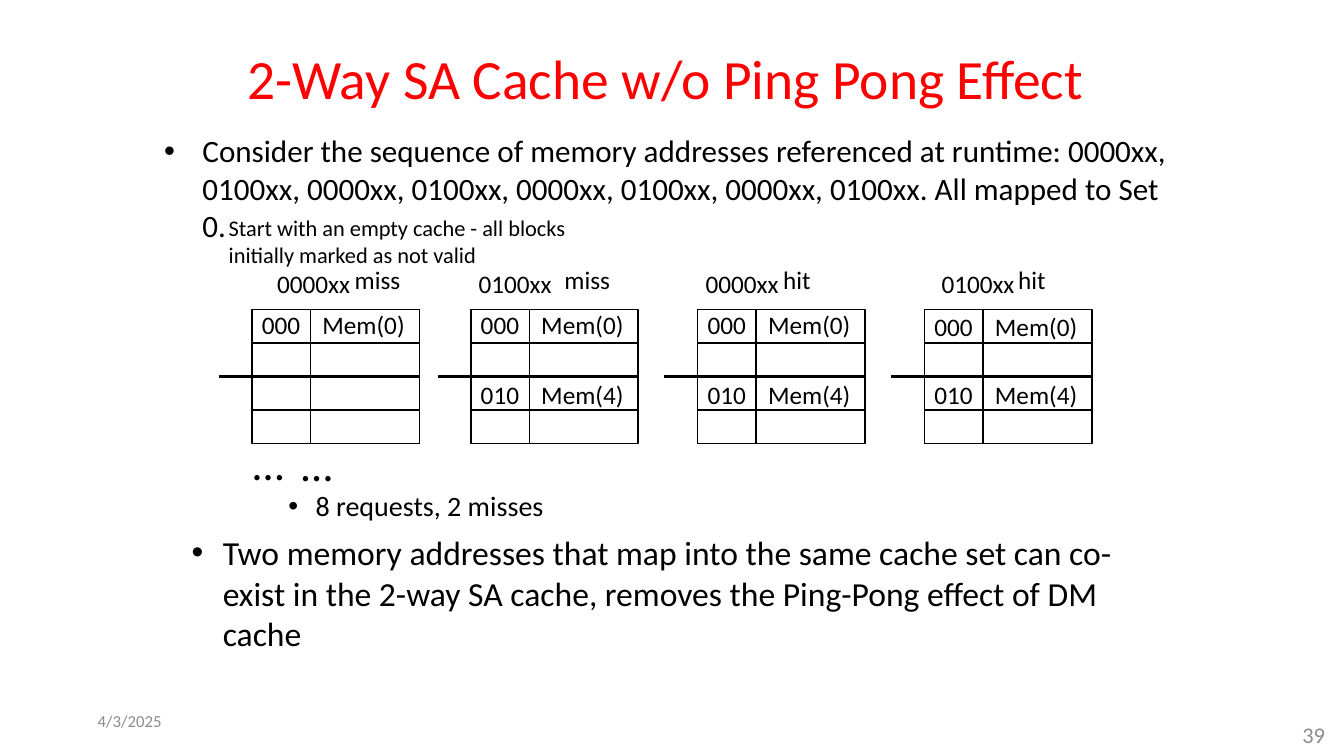
"""Build the slide on a two-way set-associative cache without the ping-pong effect."""
from dataclasses import dataclass

from lxml import etree
from pptx import Presentation
from pptx import util as u
from pptx.dml.color import RGBColor
from pptx.enum import shapes, text
from pptx.oxml import ns


@dataclass(frozen=True)
class Theme:
    font: str = "Calibri"
    black: RGBColor = RGBColor(0, 0, 0)
    red: RGBColor = RGBColor(255, 0, 0)
    grey: RGBColor = RGBColor(0x8C, 0x8C, 0x8C)
    title: float = 39.6
    body: float = 22.2
    conclusion: float = 24
    dots: float = 32
    count: float = 20
    label: float = 18
    note: float = 16
    date: float = 12
    thin: float = 1
    thick: float = 2.25


theme = Theme()
deck = Presentation()
deck.slide_width, deck.slide_height = u.Inches(13.33), u.Inches(7.5)
page = deck.slides.add_slide(deck.slide_layouts[6])


def add_text(words, left, top, width, height, size, color=theme.black, wrap=True,
             margins=(0.1, 0.05), bullet=None, tab=None, **para_format):
    """Add a text box; bullet is (margin, hang) and tab a stop, all in inches."""
    box = page.shapes.add_textbox(*map(u.Inches, (left, top, width, height)))
    frame = box.text_frame
    side, edge = map(u.Inches, margins)
    frame_format = {"word_wrap": wrap, "margin_left": side, "margin_right": side,
                    "margin_top": edge, "margin_bottom": edge,
                    "vertical_anchor": para_format.pop("anchor", text.MSO_ANCHOR.TOP)}
    for name, value in frame_format.items():
        setattr(frame, name, value)
    para = frame.paragraphs[0]
    props = para._p.get_or_add_pPr()
    if bullet:
        margin, hang = bullet
        props.set("marL", str(u.Inches(margin)))
        props.set("indent", str(-u.Inches(hang)))
        etree.SubElement(props, ns.qn("a:buFont"), typeface="Arial")
        etree.SubElement(props, ns.qn("a:buChar"), char="•")
    if tab:
        stops = etree.SubElement(props, ns.qn("a:tabLst"))
        etree.SubElement(stops, ns.qn("a:tab"), pos=str(u.Inches(tab)), algn="l")
    for name, value in para_format.items():
        setattr(para, name, value)
    span = para.add_run()
    span.text = words
    span.font.name, span.font.size = theme.font, u.Pt(size)
    span.font.color.rgb = color


def add_rule(left, right, y, weight):
    """Add a black horizontal line."""
    rule = page.shapes.add_connector(shapes.MSO_CONNECTOR.STRAIGHT,
                                     *map(u.Inches, (left, y, right, y)))
    rule.line.color.rgb, rule.line.width = theme.black, u.Pt(weight)
    etree.SubElement(rule._element.spPr, ns.qn("a:effectLst"))


add_text("2-Way SA Cache w/o Ping Pong Effect", 2.1, 0.19, 9, 1.25, theme.title, theme.red,
         anchor=text.MSO_ANCHOR.MIDDLE, alignment=text.PP_ALIGN.CENTER, line_spacing=0.85)

cache_top, row_height, row_count = 3.07, 1.33 / 4, 4
tag_width, data_width, overhang = 0.58, 1.08, 0.33
first_block, second_block = "000\tMem(0)", "010\tMem(4)"

caches = [
    (2.5, "0000xx", 2.65, "miss", 3.42, [(first_block, 3.02)]),
    (4.67, "0100xx", 4.65, "miss", 5.5, [(first_block, 3.02), (second_block, 3.71)]),
    (6.92, "0000xx", 6.9, "hit", 7.67, [(first_block, 3.02), (second_block, 3.71)]),
    (9.17, "0100xx", 9.24, "hit", 10, [(first_block, 3.04), (second_block, 3.71)]),
]
for left, address, address_left, result, result_left, blocks in caches:
    middle = left + tag_width
    right = middle + data_width
    for start, width in ((left, tag_width), (middle, data_width)):
        column = page.shapes.add_shape(
            shapes.MSO_SHAPE.RECTANGLE,
            *map(u.Inches, (start, cache_top, width, row_height * row_count)))
        column.shadow.inherit = False
        column.fill.background()
        column.line.color.rgb, column.line.width = theme.black, u.Pt(theme.thin)
        for row in range(1, row_count):
            add_rule(start, start + width, cache_top + row * row_height, theme.thin)
    add_rule(left - overhang, right, cache_top + 2 * row_height, theme.thick)
    add_text(address, address_left, 2.61, 0.93, 0.4, theme.label, wrap=False)
    add_text(result, result_left, 2.57, 0.66, 0.4, theme.label, wrap=False)
    for words, top in blocks:
        add_text(words, left, top, 1.7, 0.4, theme.label, tab=0.6)

add_text("Start with an empty cache - all blocks initially marked as not valid",
         2.17, 2.08, 3.75, 0.64, theme.note)
add_text("Two memory addresses that map into the same cache set can co-exist in the "
         "2-way SA cache, removes the Ping-Pong effect of DM cache",
         1.83, 5.25, 9.67, 1.27, theme.conclusion, margins=(0.07, 0.03), bullet=(0.31, 0.31))
add_text("8 requests, 2 misses", 2.25, 4.82, 8.92, 0.39, theme.count,
         margins=(0.07, 0.03), bullet=(0.81, 0.27), level=1)
for left, top in ((2.41, 4.27), (2.89, 4.28)):
    add_text("…", left, top, 0.51, 0.64, theme.dots, wrap=False)
add_text("4/3/2025", 0.87, 6.95, 2.33, 0.4, theme.date, theme.grey,
         anchor=text.MSO_ANCHOR.MIDDLE)
add_text("39", 12.57, 7.08, 0.67, 0.42, theme.note, theme.grey,
         anchor=text.MSO_ANCHOR.MIDDLE, alignment=text.PP_ALIGN.RIGHT)
add_text("Consider the sequence of memory addresses referenced at runtime: 0000xx, 0100xx, "
         "0000xx, 0100xx, 0000xx, 0100xx, 0000xx, 0100xx. All mapped to Set 0.",
         1.53, 1.26, 10.19, 1.1, theme.body, bullet=(0.38, 0.38))

deck.save("out.pptx")
